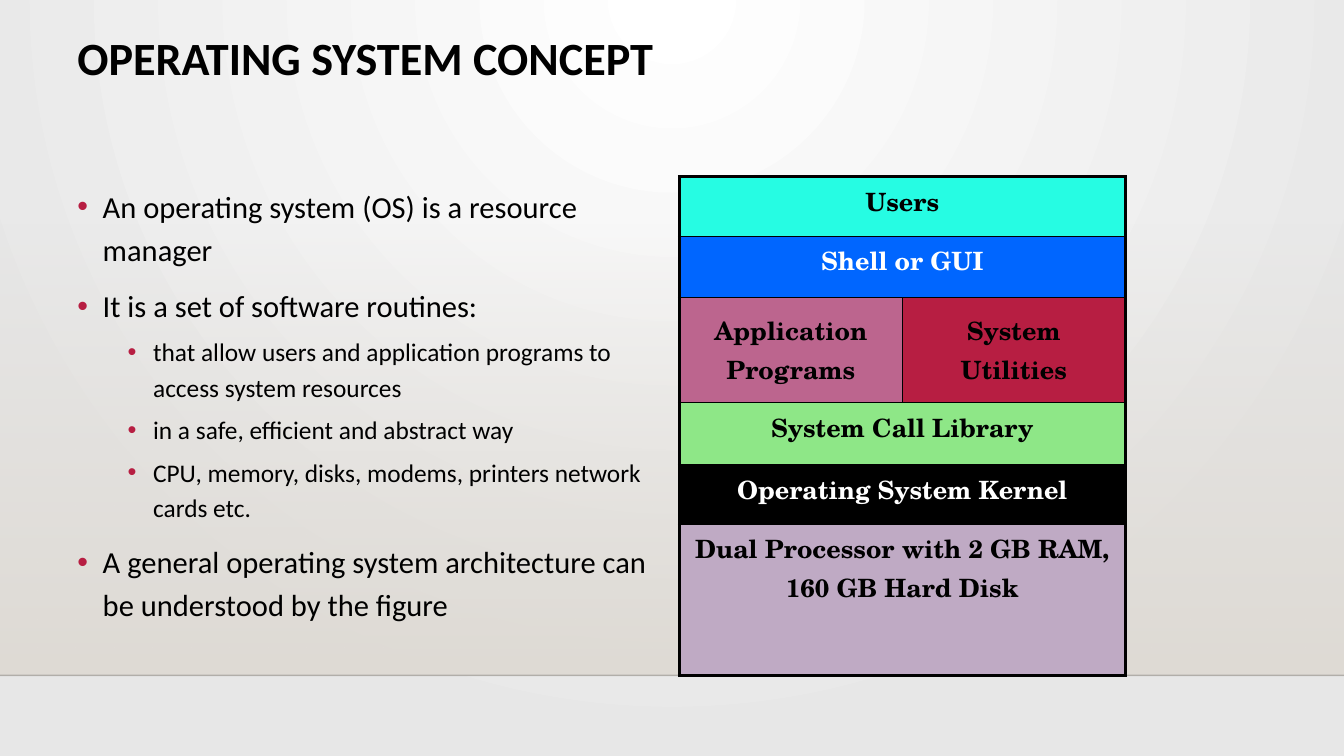
from lxml import etree
from pptx import Presentation
from pptx.dml.color import RGBColor
from pptx.enum.shapes import MSO_CONNECTOR as CONNECTOR, MSO_SHAPE as SHAPE
from pptx.enum.text import MSO_ANCHOR as ANCHOR, PP_ALIGN as ALIGN
from pptx.oxml.ns import qn
from pptx.util import Cm, Pt

BLACK, WHITE, RED = "000000", "FFFFFF", "B71E42"
WIDTH, HEIGHT = 33.87, 19.05
LEFT, TOP, FLOOR = 1.7, 4.45, 17.02

# Level and text of each bullet
BULLETS = [
    (0, "An operating system (OS) is a resource manager"),
    (0, "It is a set of software routines:"),
    (1, "that allow users and application programs to access system resources"),
    (1, "in a safe, efficient and abstract way"),
    (1, "CPU, memory, disks, modems, printers network cards etc."),
    (0, "A general operating system architecture can be understood by the figure"),
]
# Size, space before and indent (cm) of each level
LEVELS = [(21.8, 10, 0.64), (18.1, 5, 1.91)]

# Row height (cm) and cells as text, fill, font colour
LAYERS = [
    (1.5, [("Users", "26FCE3", BLACK)]),
    (1.55, [("Shell or GUI", "0066FF", WHITE)]),
    (2.64, [("Application Programs", "BC658E", BLACK),
            ("System Utilities", RED, BLACK)]),
    (1.57, [("System Call Library", "8EE787", BLACK)]),
    (1.5, [("Operating System Kernel", BLACK, WHITE)]),
    (3.81, [("Dual Processor with 2 GB RAM, 160 GB Hard Disk", "BFAAC4", BLACK)]),
]


def rgb(color):
    return RGBColor.from_string(color)


def sub(parent, tag, **attrs):
    el = etree.SubElement(parent, qn(tag))
    for name, value in attrs.items():
        el.set(name, str(value))
    return el


def set_alpha(color_format_parent, percent):
    clr = next(color_format_parent.iter(qn("a:srgbClr")))
    sub(clr, "a:alpha", val=percent * 1000)


def set_gradient(fill, start, end):
    fill.gradient()
    for stop, color, position in zip(fill.gradient_stops, (start, end), (0, 1)):
        stop.color.rgb = rgb(color)
        stop.position = position


def add_run(p, text, size, color, font="Calibri", bold=False):
    r = p.add_run()
    r.text = text
    r.font.size, r.font.name, r.font.bold = Pt(size), font, bold
    r.font.color.rgb = rgb(color)


def add_text_box(s, left, top, width, height):
    tf = s.shapes.add_textbox(Cm(left), Cm(top), Cm(width), Cm(height)).text_frame
    tf.word_wrap = True
    return tf


def add_background(s):
    # Radial glow from the top centre
    set_gradient(s.background.fill, WHITE, "E7E7E7")
    grad = next(s.background._cSld.iter(qn("a:gradFill")))
    lin = grad.find(qn("a:lin"))
    if lin is not None:
        grad.remove(lin)
    circle = sub(grad, "a:path", path="circle")
    sub(circle, "a:fillToRect", l=43000, t=0, r=43000, b=100000)

    # Wall that fades in towards the floor
    sp = s.shapes.add_shape(SHAPE.RECTANGLE, 0, Cm(5.61), Cm(WIDTH), Cm(FLOOR - 5.61))
    sp.shadow.inherit = False
    sp.line.fill.background()
    set_gradient(sp.fill, "DFDBD5", "DFDBD5")
    sp.fill.gradient_angle = 270
    set_alpha(sp._element.spPr, 0)

    # Floor line
    line = s.shapes.add_connector(CONNECTOR.STRAIGHT, 0, Cm(FLOOR), Cm(WIDTH), Cm(FLOOR))
    line.line.width = Pt(1)
    line.line.color.rgb = rgb("000001")
    set_alpha(line._element.spPr, 20)
    sub(line._element.spPr, "a:effectLst")


def add_title(s, text):
    p = add_text_box(s, LEFT, 0.76, 30.48, 3.18).paragraphs[0]
    p.line_spacing = 0.9
    add_run(p, text, 33, BLACK, bold=True)


def add_bullets(s, bullets):
    tf = add_text_box(s, LEFT, TOP, 14.99, FLOOR - TOP)
    for i, (level, text) in enumerate(bullets):
        p = tf.add_paragraph() if i else tf.paragraphs[0]
        size, before, indent = LEVELS[level]
        p.level, p.line_spacing, p.space_before = level, 1.17, Pt(before)
        pPr = p._p.get_or_add_pPr()
        pPr.set("marL", str(Cm(indent)))
        pPr.set("indent", str(-Cm(0.64)))
        sub(sub(pPr, "a:buClr"), "a:srgbClr", val=RED)
        sub(pPr, "a:buFont", typeface="Arial")
        sub(pPr, "a:buChar", char="•")
        add_run(p, text, size, BLACK)


def set_borders(cell, widths):
    tcPr = cell._tc.get_or_add_tcPr()
    for i, (side, width) in enumerate(zip("LRTB", widths)):
        ln = sub(tcPr, f"a:ln{side}", w=Pt(width))
        sub(sub(ln, "a:solidFill"), "a:srgbClr", val=BLACK)
        tcPr.insert(i, ln)


def add_layer_table(s, layers):
    table = s.shapes.add_table(len(layers), 2, Cm(17.12), Cm(TOP),
                               Cm(11.24), Cm(FLOOR - TOP)).table
    table.first_row = table.horz_banding = False
    thin, thick = 1, 2.25
    last = len(layers) - 1
    for i, (height, cells) in enumerate(layers):
        table.rows[i].height = Cm(height)
        merged = len(cells) == 1
        if merged:
            table.cell(i, 0).merge(table.cell(i, 1))
        for j in range(2):
            cell = table.cell(i, j)
            text, fill, color = cells[0 if merged else j]
            cell.fill.solid()
            cell.fill.fore_color.rgb = rgb(fill)
            set_borders(cell, (thick if merged or j == 0 else thin,
                               thick if merged or j == 1 else thin,
                               thick if i == 0 else thin,
                               thick if i == last else thin))
            if j < len(cells):
                cell.vertical_anchor = ANCHOR.TOP if merged else ANCHOR.MIDDLE
                p = cell.text_frame.paragraphs[0]
                p.alignment, p.space_before = ALIGN.CENTER, Pt(3.6)
                add_run(p, text, 18, color, "TeX Gyre Schola", True)


def main():
    prs = Presentation()
    prs.slide_width, prs.slide_height = Cm(WIDTH), Cm(HEIGHT)
    s = prs.slides.add_slide(prs.slide_layouts[6])
    add_background(s)
    add_title(s, "OPERATING SYSTEM CONCEPT")
    add_bullets(s, BULLETS)
    add_layer_table(s, LAYERS)
    prs.save("out.pptx")


if __name__ == "__main__":
    main()
